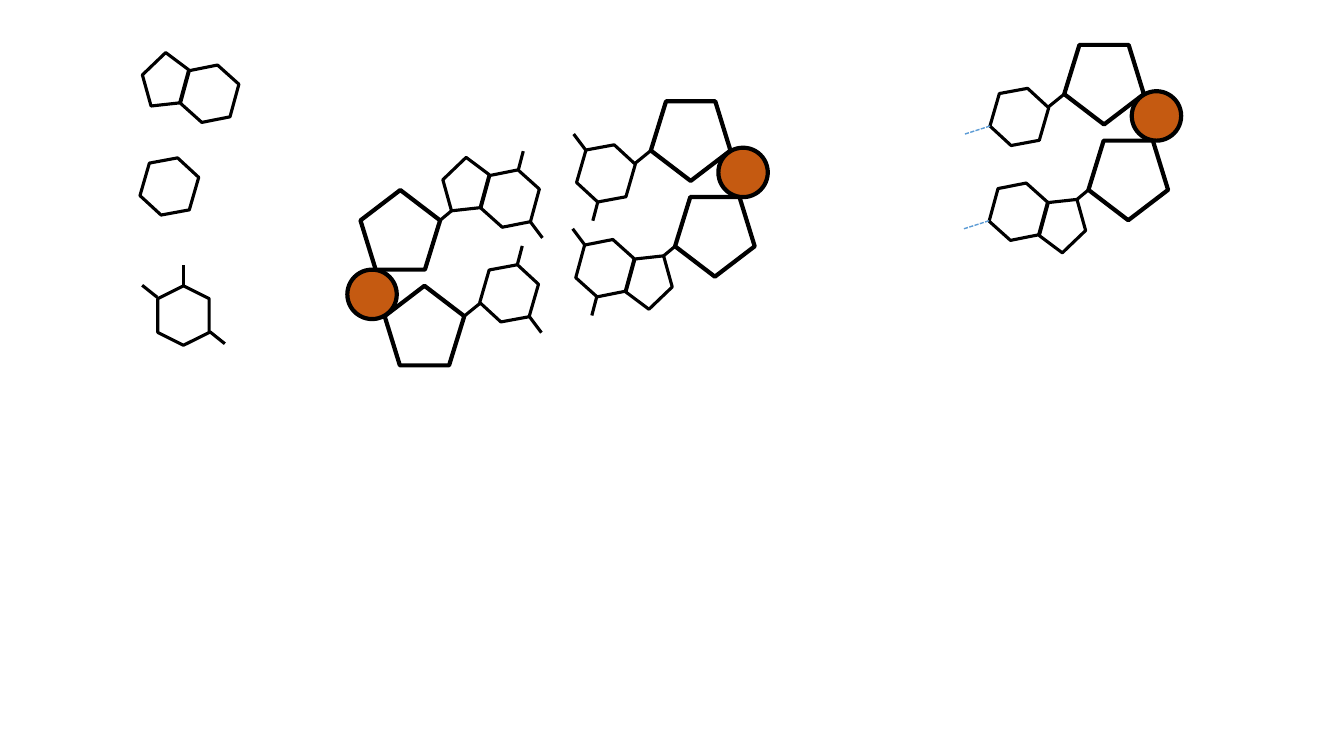
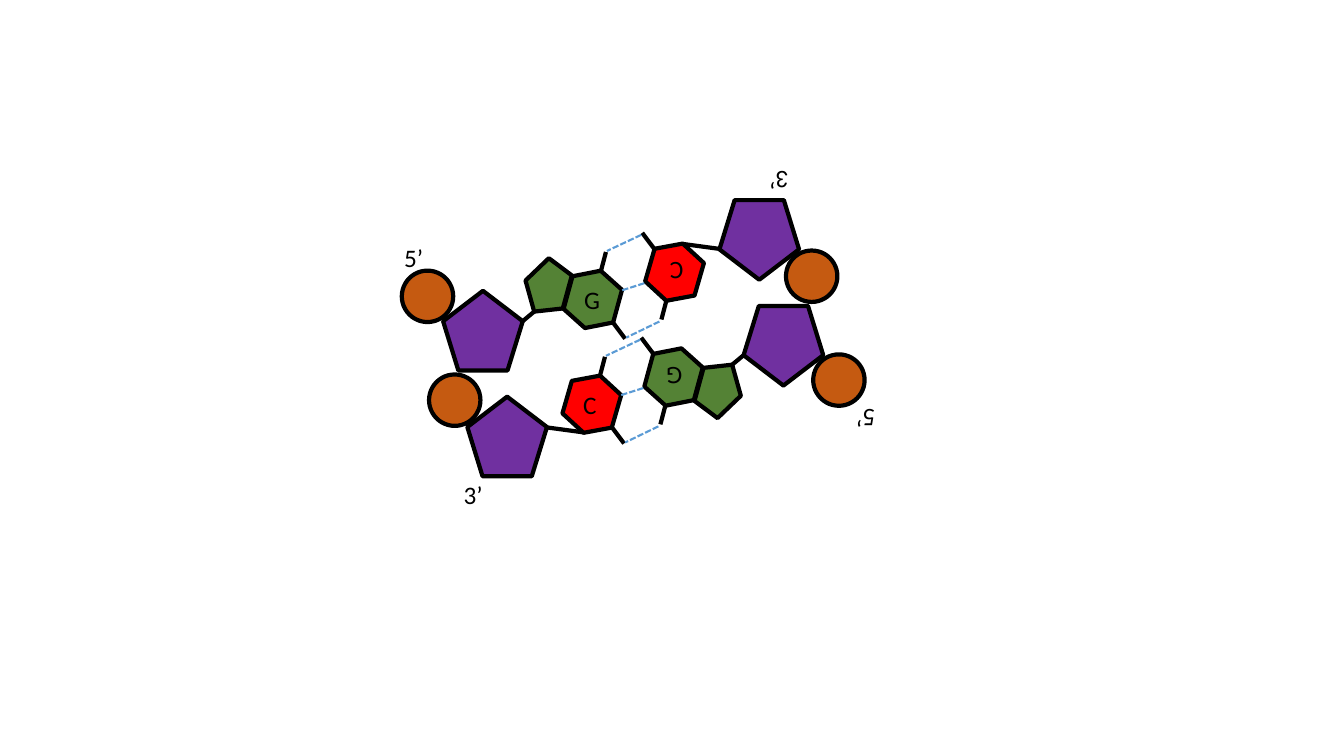
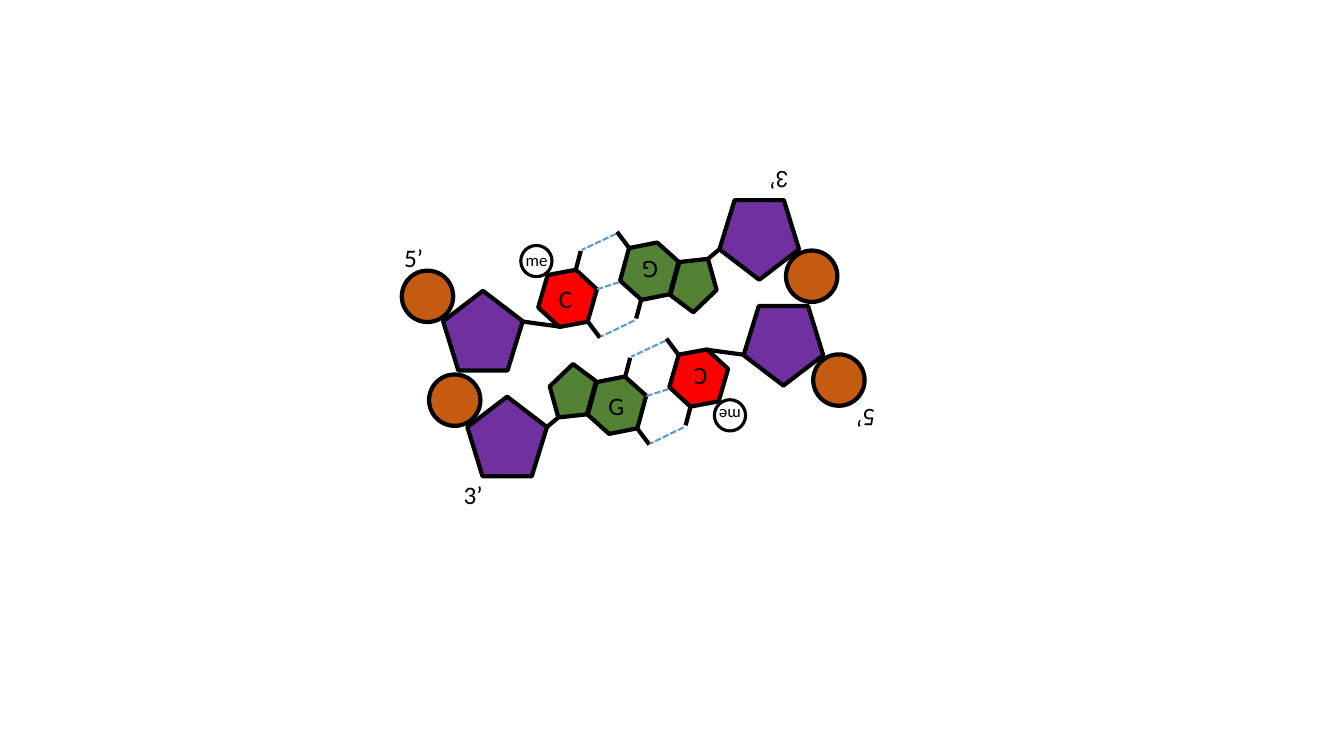
"""Draws DNA base pairs, first as a construction kit and then as finished CpG steps."""
from dataclasses import dataclass

from lxml.etree import SubElement
from pptx import Presentation
from pptx.dml.color import RGBColor
from pptx.enum.dml import MSO_LINE
from pptx.enum.shapes import MSO_CONNECTOR, MSO_SHAPE
from pptx.enum.text import MSO_AUTO_SIZE
from pptx.oxml.ns import qn
from pptx.slide import Slide
from pptx.util import Inches, Pt

BLACK = RGBColor(0x00, 0x00, 0x00)
WHITE = RGBColor(0xFF, 0xFF, 0xFF)
ORANGE = RGBColor(0xC5, 0x5A, 0x11)
PURPLE = RGBColor(0x70, 0x30, 0xA0)
GREEN = RGBColor(0x54, 0x82, 0x35)
RED = RGBColor(0xFF, 0x00, 0x00)
BLUE = RGBColor(0x5B, 0x9B, 0xD5)
FONT = "Calibri"

Point = tuple[float, float]
Segment = tuple[Point, Point]

HEXAGON: Point = (0.59, 0.51)
FUSED_RING: Point = (0.55, 0.43)
SUGAR: Point = (0.79, 0.79)
METHYL: Point = (0.31, 0.31)
LETTER_BOX: Point = (0.37, 0.4)
METHYL_BOX: Point = (0.43, 0.3)
END_BOX: Point = (0.48, 0.4)

STUBS: list[Segment] = [((0.2, 0.23), (0.32, 0.39)), ((0.08, -0.28), (0.13, -0.47))]
HYDROGEN_BONDS: list[Segment] = [
    ((0.66, 0.22), (0.33, 0.38)),
    ((0.51, -0.16), (0.29, -0.09)),
    ((0.48, -0.64), (0.14, -0.48)),
]
LOOSE_BOND: Segment = ((0.29, -0.09), (0.54, -0.17))
SUGAR_CORNER: Point = (0.39, -0.09)


@dataclass(frozen=True)
class Frame:
    """A local origin on a slide, optionally turned by half a circle."""
    slide: Slide
    x: float
    y: float
    turned: bool = False

    def at(self, point: Point) -> Point:
        """Maps a local point to the slide."""
        sign = -1 if self.turned else 1
        return self.x + sign * point[0], self.y + sign * point[1]

    def move(self, point: Point) -> "Frame":
        """Gives the same frame with its origin at a local point."""
        return Frame(self.slide, *self.at(point), self.turned)


@dataclass(frozen=True)
class Base:
    """A nucleobase and its place relative to its sugar."""
    letter: str
    fill: RGBColor
    angle: float
    offset: Point
    fused: bool
    outline_bond: Point
    filled_bond: Point


@dataclass(frozen=True)
class Style:
    """The look and spacing of a strand."""
    filled: bool
    width: float
    step: Point
    phosphate: Point
    phosphate_size: float


@dataclass(frozen=True)
class EndLabel:
    """A strand end mark and its centre."""
    text: str
    x: float
    y: float
    turned: bool


G = Base("G", GREEN, 285.3, (1.09, -0.31), True, (0.51, -0.19), (0.51, -0.19))
C = Base("C", RED, 286.1, (0.84, -0.32), False, (0.55, -0.22), (0.76, -0.04))
OUTLINE = Style(False, 2.25, (0.24, 0.95), (-0.28, 0.64), 0.49)
FILLED = Style(True, 3, (0.24, 1.05), (-0.28, 0.69), 0.51)
FIRST_PHOSPHATE: Point = (-0.55, -0.34)
END_LABELS = [
    EndLabel("5’", 4.15, 2.55, False),
    EndLabel("3’", 4.74, 4.91, False),
    EndLabel("5’", 8.54, 4.16, True),
    EndLabel("3’", 7.68, 1.8, True),
]


def add_ring(frame: Frame, preset: MSO_SHAPE, size: Point, fill: RGBColor | None,
             width: float = 3, angle: float = 0) -> None:
    """Centres an outlined shape on the frame."""
    w, h = size
    sp = frame.slide.shapes.add_shape(
        preset, Inches(frame.x - w / 2), Inches(frame.y - h / 2), Inches(w), Inches(h))
    sp.rotation = (angle + 180 * frame.turned) % 360
    sp.shadow.inherit = False
    if fill is None:
        sp.fill.background()
    else:
        sp.fill.solid()
        sp.fill.fore_color.rgb = fill
    sp.line.color.rgb = BLACK
    sp.line.width = Pt(width)


def add_line(frame: Frame, segment: Segment, width: float, dashed: bool = False) -> None:
    """Draws a black bond or a dashed blue hydrogen bond."""
    (x1, y1), (x2, y2) = map(frame.at, segment)
    line = frame.slide.shapes.add_connector(
        MSO_CONNECTOR.STRAIGHT, Inches(x1), Inches(y1), Inches(x2), Inches(y2))
    line.line.color.rgb = BLUE if dashed else BLACK
    line.line.width = Pt(width)
    if dashed:
        line.line.dash_style = MSO_LINE.SQUARE_DOT
    SubElement(line._element.spPr, qn("a:effectLst"))


def add_text(frame: Frame, text: str, size: Point, points: int = 18) -> None:
    """Centres a text box on the frame."""
    w, h = size
    box = frame.slide.shapes.add_textbox(
        Inches(frame.x - w / 2), Inches(frame.y - h / 2), Inches(w), Inches(h))
    box.rotation = 180 * frame.turned
    tf = box.text_frame
    tf.word_wrap = True
    tf.auto_size = MSO_AUTO_SIZE.SHAPE_TO_FIT_TEXT
    p = tf.paragraphs[0]
    p.text = text
    p.font.name = FONT
    p.font.size = Pt(points)
    p.font.color.rgb = BLACK


def add_base(frame: Frame, base: Base, style: Style, stubs: bool = True) -> None:
    """Draws a base around the centre of its hexagon."""
    fill = base.fill if style.filled else None
    add_ring(frame, MSO_SHAPE.HEXAGON, HEXAGON, fill, style.width, base.angle)
    if base.fused:
        add_ring(frame.move((-0.46, -0.13)), MSO_SHAPE.REGULAR_PENTAGON, FUSED_RING, fill,
                 style.width, base.angle)
    if stubs:
        for stub in STUBS:
            add_line(frame, stub, style.width)
    if style.filled:
        add_text(frame, base.letter, LETTER_BOX)


def add_strand(frame: Frame, bases: list[Base], style: Style, stubs: bool = True) -> list[Frame]:
    """Draws two nucleotides from the first sugar on and gives the frames of their bases."""
    sugars = [frame, frame.move(style.step)]
    places = [sugar.move(base.offset) for sugar, base in zip(sugars, bases)]
    for sugar, place, base in zip(sugars, places, bases):
        add_base(place, base, style, stubs)
        add_ring(sugar, MSO_SHAPE.REGULAR_PENTAGON, SUGAR, PURPLE if style.filled else None)
        end = base.filled_bond if style.filled else base.outline_bond
        add_line(sugar, (SUGAR_CORNER, end), style.width)
    phosphates = [style.phosphate] + [FIRST_PHOSPHATE] * style.filled
    for phosphate in phosphates:
        add_ring(frame.move(phosphate), MSO_SHAPE.OVAL, (style.phosphate_size,) * 2, ORANGE)
    return places


def add_methyl(frame: Frame) -> None:
    """Marks a cytosine as methylated."""
    add_ring(frame.move((-0.31, -0.37)), MSO_SHAPE.OVAL, METHYL, WHITE, 2.25)
    add_text(frame.move((-0.3, -0.38)), "me", METHYL_BOX, 12)


def build_kit(slide: Slide) -> None:
    """Draws single rings and unpaired strands in outline."""
    add_base(Frame(slide, 2.08, 0.93), G, OUTLINE, stubs=False)
    add_base(Frame(slide, 1.68, 1.85), C, OUTLINE, stubs=False)
    upright = Frame(slide, 1.82, 3.13)
    add_ring(upright, MSO_SHAPE.HEXAGON, HEXAGON, None, OUTLINE.width, 270)
    for arm in [((0.26, 0.16), (0.41, 0.28)), ((0, -0.3), (0, -0.5)),
                ((-0.41, -0.3), (-0.26, -0.18))]:
        add_line(upright, arm, OUTLINE.width)
    add_strand(Frame(slide, 3.97, 2.28), [G, C], OUTLINE)
    add_strand(Frame(slide, 7.09, 2.35, True), [G, C], OUTLINE)
    for place in add_strand(Frame(slide, 11.19, 1.79, True), [G, C], OUTLINE, stubs=False):
        add_line(place, LOOSE_BOND, 1, dashed=True)


def build_duplex(slide: Slide, bases: list[Base], methylated: bool) -> None:
    """Draws two facing strands joined by hydrogen bonds."""
    left = add_strand(Frame(slide, 4.79, 3.28), bases, FILLED)
    right = add_strand(Frame(slide, 7.77, 3.43, True), bases, FILLED)
    for place in left:
        for bond in HYDROGEN_BONDS:
            add_line(place, bond, 1.5, dashed=True)
    if methylated:
        for places in (left, right):
            add_methyl(places[bases.index(C)])
    for label in END_LABELS:
        add_text(Frame(slide, label.x, label.y, label.turned), label.text, END_BOX)


def main() -> None:
    """Builds and saves the presentation."""
    prs = Presentation()
    prs.slide_width, prs.slide_height = Inches(13.33), Inches(7.5)
    kit, plain, methylated = (prs.slides.add_slide(prs.slide_layouts[6]) for _ in range(3))
    build_kit(kit)
    build_duplex(plain, [G, C], methylated=False)
    build_duplex(methylated, [C, G], methylated=True)
    prs.save("out.pptx")


if __name__ == "__main__":
    main()
